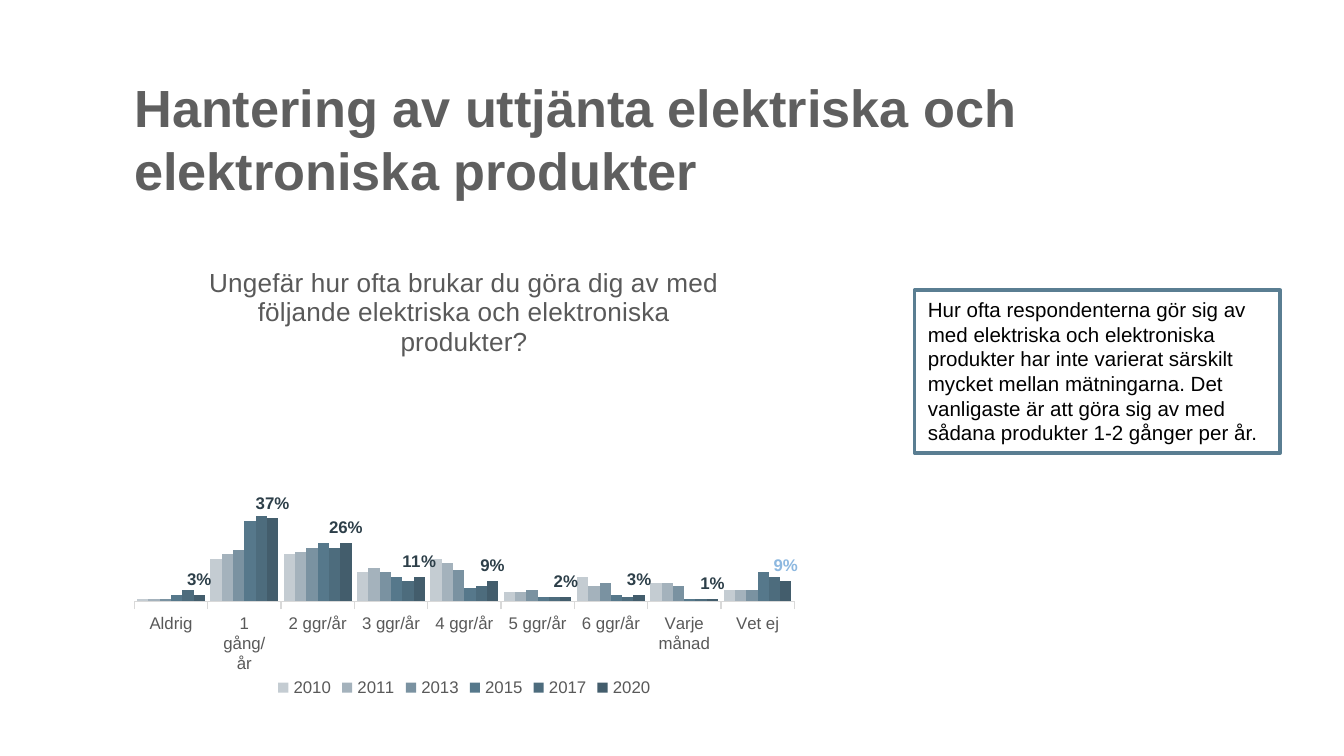
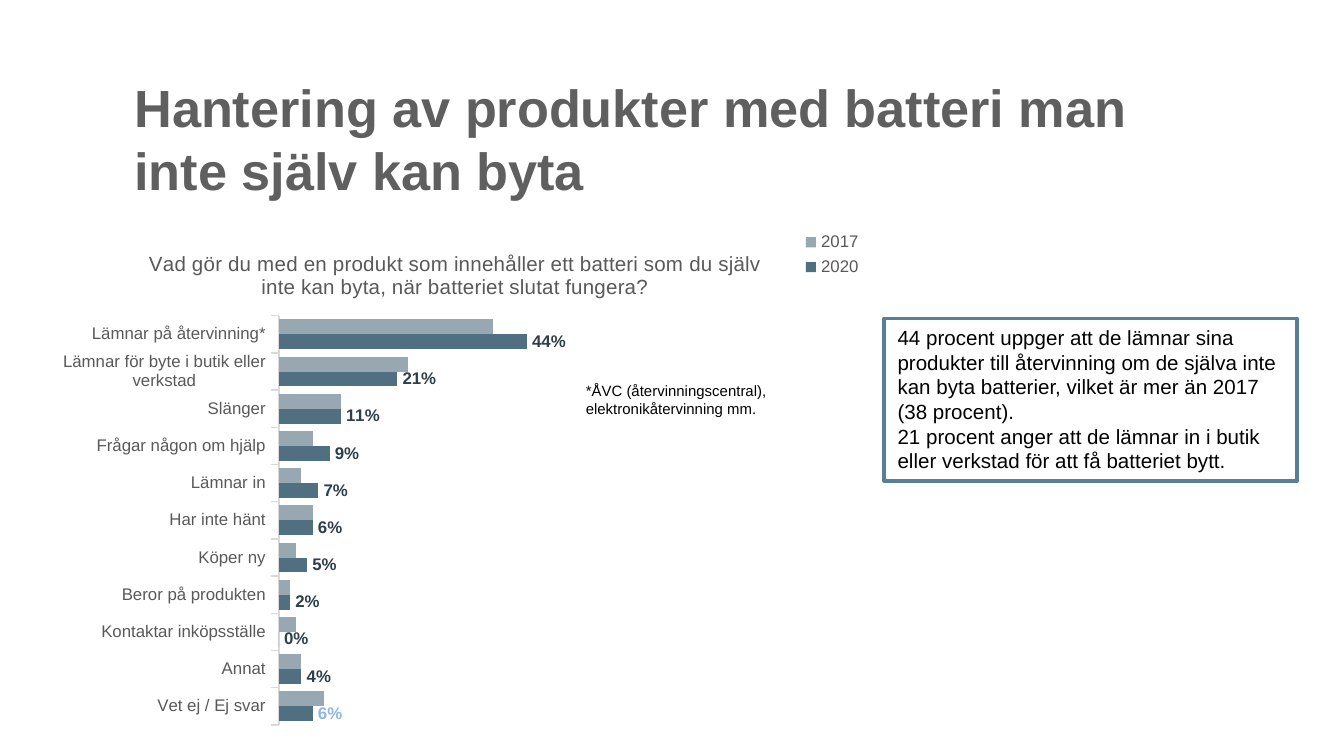
import pptx
import pptx.util
import pptx.chart.data
import pptx.dml.color
import pptx.enum.chart
import pptx.enum.shapes
import pptx.enum.text
import pptx.oxml

PX = 4572
FONT = "Arial"
COLORS = {
    "title": "5F5F5F", "text": "000000", "white": "FFFFFF", "frame": "5A7E92",
    "muted": "595959", "axis": "D9D9D9", "label": "2D3F49", "unsure": "8DB8E0",
}
CHART_TYPES = pptx.enum.chart.XL_CHART_TYPE
LEGENDS = pptx.enum.chart.XL_LEGEND_POSITION

FREQUENCY = {
    "type": CHART_TYPES.COLUMN_CLUSTERED,
    "title": "Ungefär hur ofta brukar du göra dig av med följande elektriska och elektroniska produkter?",
    "title_size": 14, "title_at": (124, 24),
    "plot": (20, 198, 982, 333),
    "legend": LEGENDS.BOTTOM, "overlay": False, "major": 0.2,
    "cats": ["Aldrig", "1 gång/år", "2 ggr/år", "3 ggr/år", "4 ggr/år",
             "5 ggr/år", "6 ggr/år", "Varje månad", "Vet ej"],
    "series": [
        ("2010", "C4CCD2", [0.01, 0.19, 0.21, 0.13, 0.19, 0.04, 0.11, 0.08, 0.05]),
        ("2011", "A4B2BC", [0.01, 0.21, 0.22, 0.15, 0.17, 0.04, 0.07, 0.08, 0.05]),
        ("2013", "7A92A1", [0.01, 0.23, 0.24, 0.13, 0.14, 0.05, 0.08, 0.07, 0.05]),
        ("2015", "56788B", [0.03, 0.36, 0.26, 0.11, 0.06, 0.02, 0.03, 0.01, 0.13]),
        ("2017", "4D6C7D", [0.05, 0.38, 0.24, 0.09, 0.07, 0.02, 0.02, 0.01, 0.11]),
        ("2020", "435D6C", [0.03, 0.37, 0.26, 0.11, 0.09, 0.02, 0.03, 0.01, 0.09]),
    ],
    "labelled": "2020", "unsure": 8,
}
BATTERY = {
    "type": CHART_TYPES.BAR_CLUSTERED,
    "title": "Vad gör du med en produkt som innehåller ett batteri som du själv inte kan byta, när batteriet slutat fungera?",
    "title_size": 11, "title_at": (146, 27),
    "plot": (345, 132, 839, 609),
    "legend": LEGENDS.CORNER, "overlay": True, "major": 1,
    "cats": ["Vet ej / Ej svar", "Annat", "Kontaktar inköpsställe", "Beror på produkten",
             "Köper ny", "Har inte hänt", "Lämnar in", "Frågar någon om hjälp", "Slänger",
             "Lämnar för byte i butik eller verkstad", "Lämnar på återvinning*"],
    "series": [
        ("2020", "507082", [0.06, 0.04, 0, 0.02, 0.05, 0.06, 0.07, 0.09, 0.11, 0.21, 0.44]),
        ("2017", "97A8B3", [0.08, 0.04, 0.03, 0.02, 0.03, 0.06, 0.04, 0.06, 0.11, 0.23, 0.38]),
    ],
    "labelled": "2020", "unsure": 0,
}


def rgb(name):
    return pptx.dml.color.RGBColor.from_string(COLORS.get(name, name))


def emu(box):
    return [v * PX for v in box]


def set_font(font, size, color, bold=False):
    font.name = FONT
    font.size = pptx.util.Pt(size)
    font.bold = bold
    font.color.rgb = rgb(color)


def write(sp, lines, size, color, bold=False):
    tf = sp.text_frame
    tf.word_wrap = True
    tf.auto_size = pptx.enum.text.MSO_AUTO_SIZE.NONE
    tf.vertical_anchor = pptx.enum.text.MSO_ANCHOR.TOP
    tf.text = "\n".join(lines)
    for p in tf.paragraphs:
        p.alignment = pptx.enum.text.PP_ALIGN.LEFT
        for r in p.runs:
            set_font(r.font, size, color, bold)


def add_slide(prs, title):
    slide = prs.slides.add_slide(prs.slide_layouts[5])
    sp = slide.shapes.title
    sp.left, sp.top, sp.width, sp.height = emu((180, 102, 1606, 236))
    write(sp, [title], 28, "title", True)
    return slide


def add_callout(slide, box, lines):
    sp = slide.shapes.add_shape(pptx.enum.shapes.MSO_SHAPE.RECTANGLE, *emu(box))
    sp.shadow.inherit = False
    sp.fill.solid()
    sp.fill.fore_color.rgb = rgb("white")
    sp.line.color.rgb = rgb("frame")
    sp.line.width = pptx.util.Pt(2)
    write(sp, lines, 11, "text")


def add_footnote(slide, box, text):
    write(slide.shapes.add_textbox(*emu(box)), [text], 8, "text")


def place(parent, index, part, box, inner=False):
    names = ("x", "y", "w", "h")[:len(part)]
    target = '<c:layoutTarget val="inner"/>' if inner else ""
    modes = "".join(f'<c:{n}Mode val="edge"/>' for n in names[:2])
    sizes = "".join(f'<c:{n} val="{v / whole:.4f}"/>'
                    for n, v, whole in zip(names, part, box[2:] * 2))
    ns = "http://schemas.openxmlformats.org/drawingml/2006/chart"
    layout = pptx.oxml.parse_xml(
        f'<c:layout xmlns:c="{ns}"><c:manualLayout>{target}{modes}{sizes}</c:manualLayout></c:layout>')
    for old in parent.findall(layout.tag):
        parent.remove(old)
    parent.insert(index, layout)


def add_survey_chart(slide, box, survey):
    data = pptx.chart.data.CategoryChartData(number_format="0%")
    data.categories = survey["cats"]
    for name, _, values in survey["series"]:
        data.add_series(name, values)
    chart = slide.shapes.add_chart(survey["type"], *emu(box), data).chart
    set_font(chart.font, 10, "text")

    chart.has_title = True
    chart.chart_title.include_in_layout = False
    p = chart.chart_title.text_frame.paragraphs[0]
    p.text = survey["title"]
    set_font(p.runs[0].font, survey["title_size"], "muted")
    place(chart.chart_title._element, 1, survey["title_at"], box)

    chart.has_legend = True
    chart.legend.position = survey["legend"]
    chart.legend.include_in_layout = survey["overlay"]
    set_font(chart.legend.font, 9, "muted")

    cat_axis = chart.category_axis
    cat_axis.has_major_gridlines = False
    cat_axis.major_tick_mark = pptx.enum.chart.XL_TICK_MARK.OUTSIDE
    cat_axis.format.line.color.rgb = rgb("axis")
    cat_axis.format.line.width = pptx.util.Pt(0.75)
    set_font(cat_axis.tick_labels.font, 9, "muted")
    val_axis = chart.value_axis
    val_axis.visible = False
    val_axis.has_major_gridlines = False
    val_axis.minimum_scale = 0
    val_axis.maximum_scale = 1
    val_axis.major_unit = survey["major"]

    plot = chart.plots[0]
    plot.gap_width = 50
    plot.overlap = 0
    plot.vary_by_categories = False
    for series, (name, color, _) in zip(plot.series, survey["series"]):
        series.format.fill.solid()
        series.format.fill.fore_color.rgb = rgb(color)
        if name == survey["labelled"]:
            add_labels(series, survey["unsure"])
    place(chart._chartSpace.chart.plotArea, 0, survey["plot"], box, True)


def add_labels(series, unsure):
    outside = pptx.enum.chart.XL_LABEL_POSITION.OUTSIDE_END
    labels = series.data_labels
    labels.show_value = True
    labels.number_format = "0%"
    labels.number_format_is_linked = False
    labels.position = outside
    set_font(labels.font, 9, "label", True)
    label = series.points[unsure].data_label
    set_font(label.font, 9, "unsure", True)
    label.position = outside


def frequency_slide(prs):
    slide = add_slide(prs, "Hantering av uttjänta elektriska och elektroniska produkter")
    add_callout(slide, (1361, 432, 544, 242), [
        "Hur ofta respondenterna gör sig av med elektriska och elektroniska produkter har inte "
        "varierat särskilt mycket mellan mätningarna. Det vanligaste är att göra sig av med "
        "sådana produkter 1-2 gånger per år."])
    add_survey_chart(slide, (180, 364, 1022, 682), FREQUENCY)


def battery_slide(prs):
    slide = add_slide(prs, "Hantering av produkter med batteri man inte själv kan byta")
    add_survey_chart(slide, (70, 338, 1216, 756), BATTERY)
    add_callout(slide, (1316, 474, 614, 242), [
        "44 procent uppger att de lämnar sina produkter till återvinning om de själva inte kan "
        "byta batterier, vilket är mer än 2017 (38 procent).",
        "21 procent anger att de lämnar in i butik eller verkstad för att få batteriet bytt."])
    add_footnote(slide, (852, 558, 316, 74),
                 "*ÅVC (återvinningscentral), elektronikåtervinning mm.")


def main():
    prs = pptx.Presentation()
    prs.slide_width, prs.slide_height = emu((2000, 1125))
    frequency_slide(prs)
    battery_slide(prs)
    prs.save("out.pptx")


if __name__ == "__main__":
    main()
